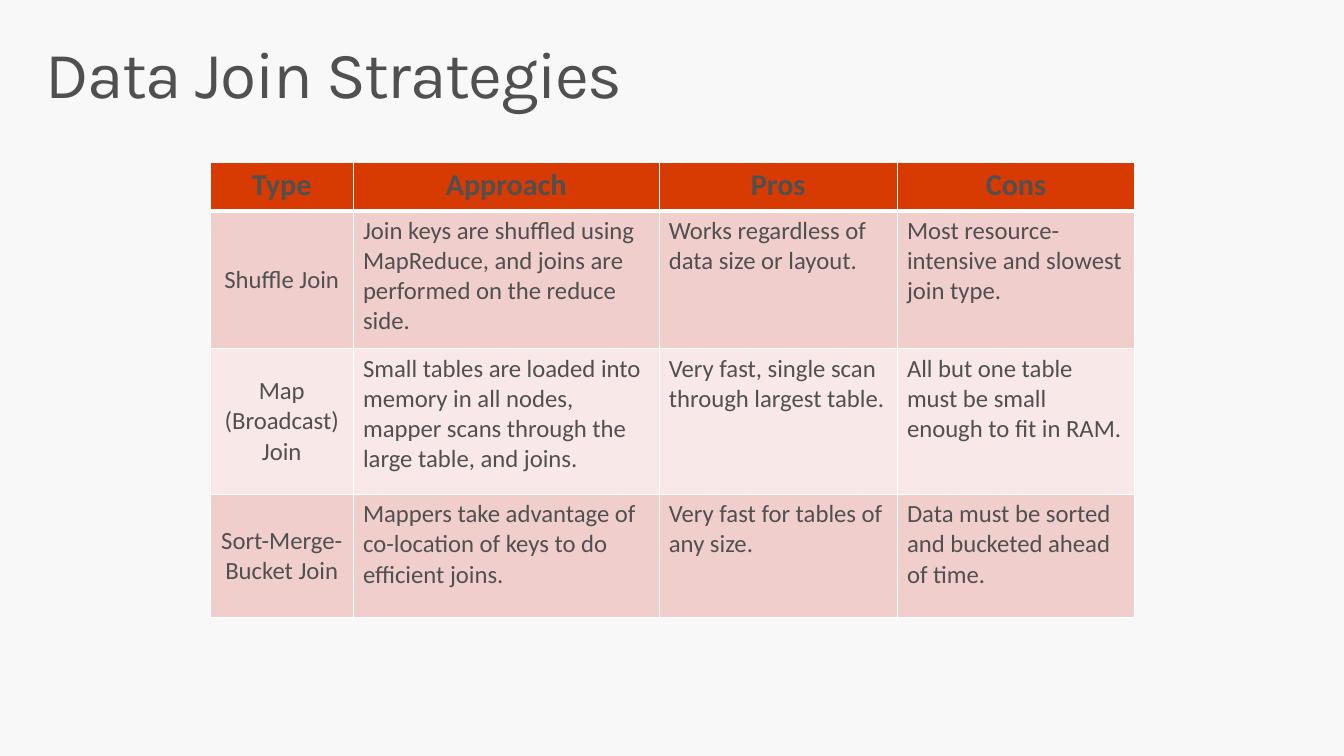
import pptx
import pptx.dml.color
import pptx.enum.text
import pptx.oxml
import pptx.oxml.ns
import pptx.util
from pptx.util import Cm, Pt

HEADING = "Data Join Strategies"
COLUMNS = [("Type", 3.68), ("Approach", 7.86), ("Pros", 6.12), ("Cons", 6.1)]
STRATEGIES = [
    ("Shuffle Join",
     "Join keys are shuffled using MapReduce, and joins are performed on the reduce side.",
     "Works regardless of data size or layout.",
     "Most resource-intensive and slowest join type."),
    ("Map (Broadcast) Join",
     "Small tables are loaded into memory in all nodes, mapper scans through the large table, and joins.",
     "Very fast, single scan through largest table.",
     "All but one table must be small enough to fit in RAM."),
    ("Sort-Merge-Bucket Join",
     "Mappers take advantage of co-location of keys to do efficient joins.",
     "Very fast for tables of any size.",
     "Data must be sorted and bucketed ahead of time."),
]
ROW_HEIGHTS = [1.25, 3.54, 3.74, 3.18]
TABLE_LEFT, TABLE_TOP = 5.4, 4.17
COLORS = {"background": "F8F8F8", "text": "505050", "header": "D83B01",
          "odd": "F0CECC", "even": "F8E8E7", "border": "FFFFFF"}

ALIGN = pptx.enum.text.PP_ALIGN
ANCHOR = pptx.enum.text.MSO_ANCHOR
HEADING_FONT = {"name": "Karla", "size": Pt(48), "bold": False}
HEADER_FONT = {"name": "Calibri", "size": Pt(22), "bold": True}
BODY_FONT = {"name": "Calibri", "size": Pt(18), "bold": False}
HEADING_PLACE = {"left": Cm(0.76), "top": Cm(0.81), "width": Cm(33.02), "height": Cm(2.54)}
HEADING_FRAME = {"margin_left": Cm(0.41), "margin_right": Cm(0.41),
                 "margin_top": Cm(0.25), "margin_bottom": Cm(0.25),
                 "vertical_anchor": ANCHOR.TOP, "word_wrap": True,
                 "auto_size": pptx.enum.text.MSO_AUTO_SIZE.NONE}
CELL_FRAME = {"margin_left": Cm(0.25), "margin_right": Cm(0.25),
              "margin_top": Cm(0.13), "margin_bottom": Cm(0.13)}


def apply(target, values):
    for name, value in values.items():
        setattr(target, name, value)


def rgb(part):
    return pptx.dml.color.RGBColor.from_string(COLORS[part])


def write(paragraph, words, font, alignment):
    run = paragraph.add_run()
    run.text = words
    apply(run.font, font)
    run.font.color.rgb = rgb("text")
    paragraph.alignment = alignment
    return run


def add_borders(cell, widths):
    """Draw the cell's edges; widths maps L, R, T, B, in that order, to points."""
    properties = cell._tc.get_or_add_tcPr()
    for position, (side, points) in enumerate(widths.items()):
        edge = pptx.oxml.parse_xml(
            f'<a:ln{side} {pptx.oxml.ns.nsdecls("a")} w="{Pt(points)}"><a:solidFill>'
            f'<a:srgbClr val="{COLORS["border"]}"/></a:solidFill></a:ln{side}>')
        properties.insert(position, edge)


def add_heading(slide):
    heading = slide.shapes.title
    apply(heading, HEADING_PLACE)
    apply(heading.text_frame, HEADING_FRAME)
    paragraph = heading.text_frame.paragraphs[0]
    paragraph.line_spacing = 0.9
    run = write(paragraph, HEADING, HEADING_FONT, ALIGN.LEFT)
    run.font._element.set("spc", "-100")


def add_strategies(slide):
    rows = [[name for name, _ in COLUMNS], *STRATEGIES]
    widths = [width for _, width in COLUMNS]
    table = slide.shapes.add_table(
        len(rows), len(widths), Cm(TABLE_LEFT), Cm(TABLE_TOP),
        Cm(sum(widths)), Cm(sum(ROW_HEIGHTS))).table
    for column, width in zip(table.columns, widths):
        column.width = Cm(width)
    for row, height in zip(table.rows, ROW_HEIGHTS):
        row.height = Cm(height)

    for r, row in enumerate(rows):
        is_header = r == 0
        band = "header" if is_header else "odd" if r % 2 else "even"
        for c, words in enumerate(row):
            cell = table.cell(r, c)
            is_type = c == 0 and not is_header
            apply(cell, CELL_FRAME)
            cell.vertical_anchor = ANCHOR.MIDDLE if is_type else ANCHOR.TOP
            cell.fill.solid()
            cell.fill.fore_color.rgb = rgb(band)
            add_borders(cell, {"L": 1, "R": 1, "T": 3 if r == 1 else 1,
                               "B": 3 if is_header else 1})
            write(cell.text_frame.paragraphs[0], words,
                  HEADER_FONT if is_header else BODY_FONT,
                  ALIGN.CENTER if is_header or is_type else ALIGN.LEFT)


def main():
    deck = pptx.Presentation()
    deck.slide_width, deck.slide_height = Cm(34.54), Cm(19.43)
    slide = deck.slides.add_slide(deck.slide_layouts[5])
    slide.background.fill.solid()
    slide.background.fill.fore_color.rgb = rgb("background")
    add_heading(slide)
    add_strategies(slide)
    deck.save("out.pptx")


if __name__ == "__main__":
    main()
